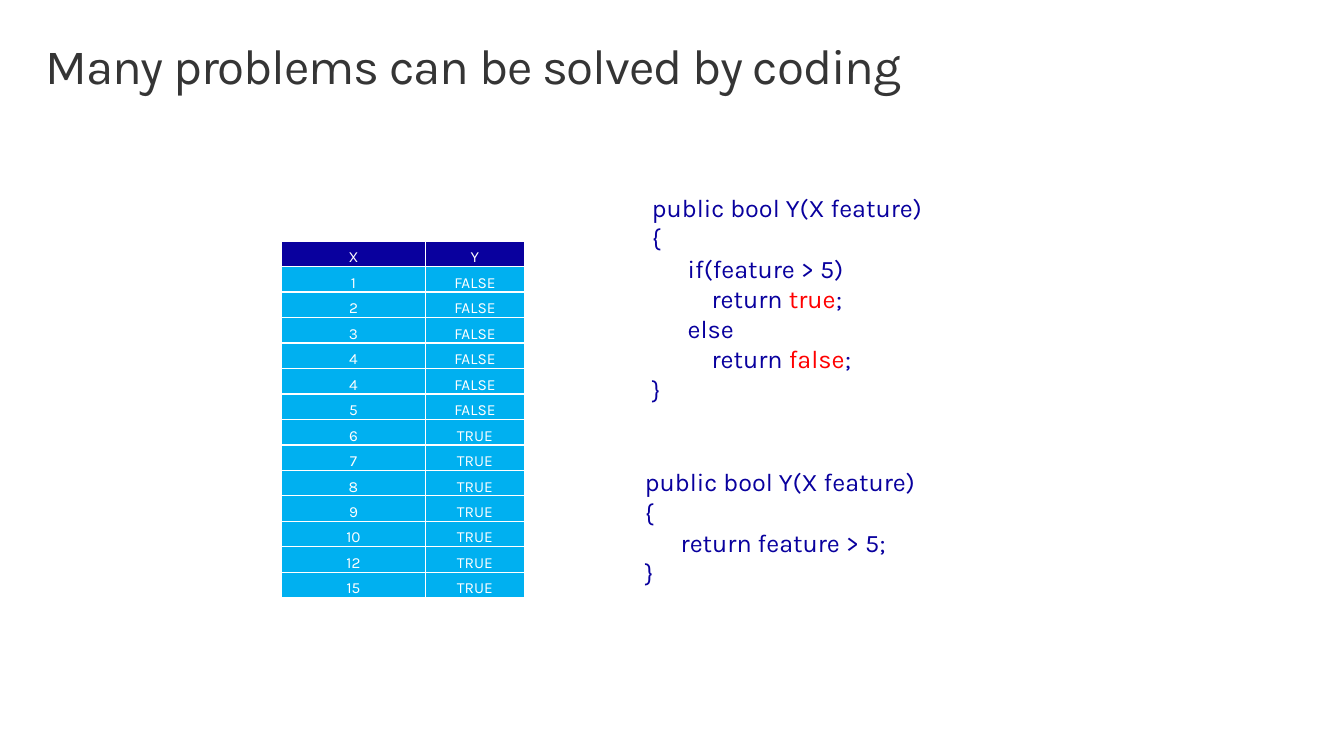
"""Build the slide that compares a table of values with code that yields them."""
import pptx
import pptx.dml.color
import pptx.enum.text
import pptx.oxml
import pptx.oxml.ns
import pptx.util

Pt = pptx.util.Pt
ALIGN = pptx.enum.text.PP_ALIGN
ANCHOR = pptx.enum.text.MSO_ANCHOR
AUTOFIT = pptx.enum.text.MSO_AUTO_SIZE

NAVY, SKY, RED, GREY, WHITE = "09009E", "00B0F0", "FF0000", "353535", "FFFFFF"


def rgb(value):
    return pptx.dml.color.RGBColor.from_string(value)


def apply(target, values):
    for name, value in values.items():
        setattr(target, name, value)


class CodingSlide:
    def __init__(self, deck, font):
        self.font = font
        self.slide = deck.slides.add_slide(deck.slide_layouts[5])

    def add_words(self, paragraph, text, size, color, spacing=0):
        for index, line in enumerate(text.split("\n")):
            if index:
                paragraph.add_line_break()
            run = paragraph.add_run()
            run.text = line
            apply(run.font, {"name": self.font, "size": Pt(size), "bold": False})
            run.font.color.rgb = rgb(color)
            if spacing:
                run.font._element.set("spc", str(round(spacing * 100)))

    def title(self, text, left, top, width, height):
        heading = self.slide.shapes.title
        apply(heading, {"left": Pt(left), "top": Pt(top),
                        "width": Pt(width), "height": Pt(height)})
        frame = heading.text_frame
        apply(frame, {"word_wrap": True, "auto_size": AUTOFIT.NONE,
                      "vertical_anchor": ANCHOR.TOP,
                      "margin_left": Pt(11.5), "margin_right": Pt(11.5),
                      "margin_top": Pt(7.2), "margin_bottom": Pt(7.2)})
        apply(frame.paragraphs[0], {"alignment": ALIGN.LEFT, "line_spacing": 0.9})
        self.add_words(frame.paragraphs[0], text, 35.3, GREY, -0.8)

    def code(self, paragraphs, left, top, width, height):
        box = self.slide.shapes.add_textbox(Pt(left), Pt(top), Pt(width), Pt(height))
        frame = box.text_frame
        apply(frame, {"word_wrap": True, "auto_size": AUTOFIT.SHAPE_TO_FIT_TEXT})
        for index, runs in enumerate(paragraphs):
            paragraph = frame.add_paragraph() if index else frame.paragraphs[0]
            for text, color in runs:
                self.add_words(paragraph, text, 18, color)

    def border(self, cell, color, width):
        properties = cell._tc.get_or_add_tcPr()
        for side in ("lnL", "lnR", "lnT", "lnB"):
            properties.append(pptx.oxml.parse_xml(
                f'<a:{side} {pptx.oxml.ns.nsdecls("a")} w="{int(Pt(width))}"><a:solidFill>'
                f'<a:srgbClr val="{color}"/></a:solidFill></a:{side}>'))

    def table(self, rows, left, top, widths, row_height):
        table = self.slide.shapes.add_table(
            len(rows), len(widths), Pt(left), Pt(top),
            Pt(sum(widths)), Pt(row_height * len(rows))).table
        apply(table, {"first_row": True, "horz_banding": False})
        for column, width in zip(table.columns, widths):
            column.width = Pt(width)
        for index, (row, values) in enumerate(zip(table.rows, rows)):
            row.height = Pt(row_height)
            for cell, value in zip(row.cells, values):
                apply(cell, {"vertical_anchor": ANCHOR.BOTTOM,
                             "margin_left": Pt(0.7), "margin_right": Pt(0.7),
                             "margin_top": Pt(0.7), "margin_bottom": Pt(0)})
                self.border(cell, WHITE, 1)
                cell.fill.solid()
                cell.fill.fore_color.rgb = rgb(SKY if index else NAVY)
                paragraph = cell.text_frame.paragraphs[0]
                paragraph.alignment = ALIGN.CENTER
                self.add_words(paragraph, value, 11, WHITE)


def main():
    deck = pptx.Presentation()
    apply(deck, {"slide_width": Pt(960), "slide_height": Pt(540)})
    page = CodingSlide(deck, "Karla")
    page.title("Many problems can be solved by coding", 20.9, 23, 918, 70.6)

    features = (1, 2, 3, 4, 4, 5, 6, 7, 8, 9, 10, 12, 15)
    samples = [(str(x), str(x > 5).upper()) for x in features]
    page.table([("X", "Y")] + samples, 201, 172.2, (103, 70.5), 18.2)

    opening = [("public bool Y(X feature)\n{", NAVY)]
    closing = [("}", NAVY)]
    branches = [
        opening,
        [("      if(feature > 5)\n          return ", NAVY), ("true", RED), (";", NAVY)],
        [("      else", NAVY)],
        [("          return ", NAVY), ("false", RED), (";", NAVY)],
        closing,
    ]
    expression = [opening, [("      return feature > 5;", NAVY)], closing]
    page.code(branches, 458.6, 133.9, 271.4, 159.8)
    page.code(expression, 453.6, 329.8, 271.4, 94.3)
    deck.save("out.pptx")


if __name__ == "__main__":
    main()
